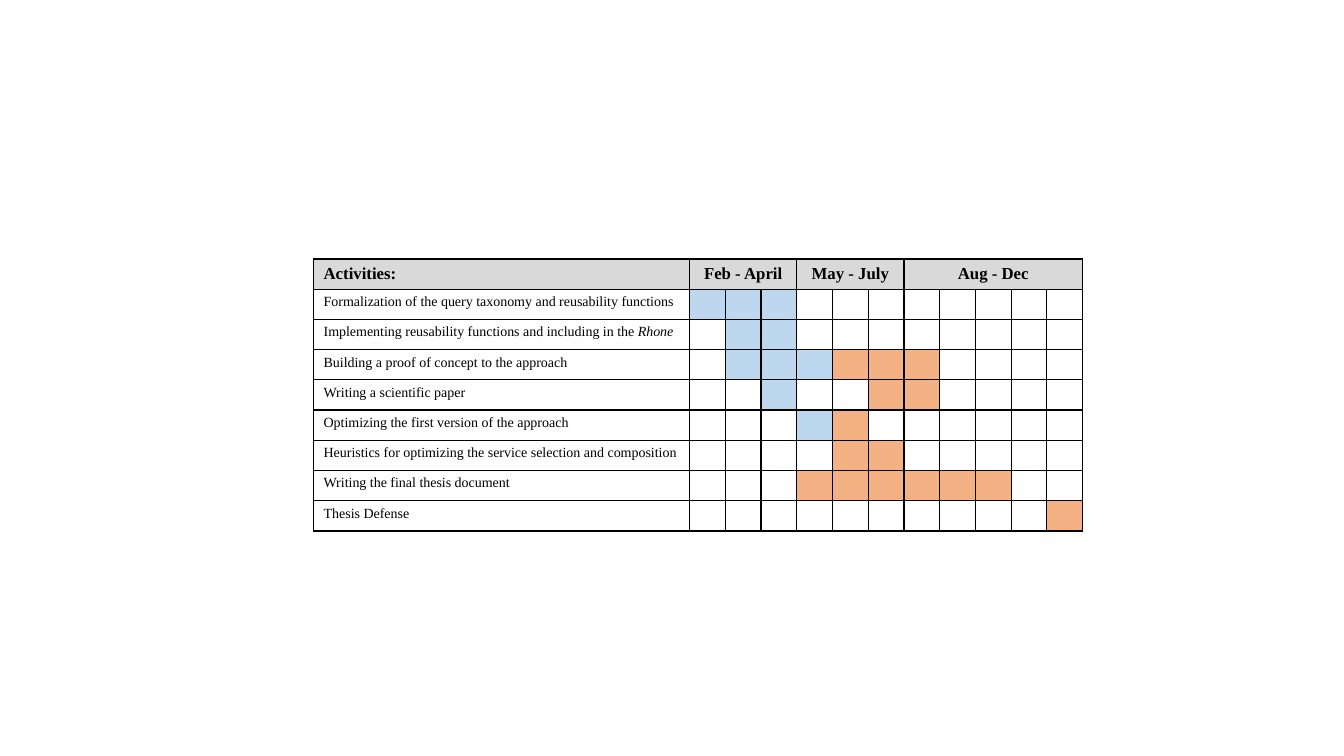
"""Build a thesis schedule slide as a Gantt table."""
from lxml.etree import SubElement
from pptx import Presentation
from pptx.dml.color import RGBColor
from pptx.enum.text import MSO_ANCHOR as ANCHOR, PP_ALIGN as ALIGN
from pptx.oxml import parse_xml
from pptx.oxml.ns import nsdecls, qn
from pptx.util import Inches, Pt

FONT = "Times New Roman"
BLACK, WHITE, GREY, BLUE, ORANGE = "000000", "FFFFFF", "D9D9D9", "BDD7EE", "F4B183"
MONTHS = 11
PERIODS = [("Feb - April", 1, 3), ("May - July", 4, 6), ("Aug - Dec", 7, 11)]
FILLS = {".": WHITE, "B": BLUE, "O": ORANGE}
ACTIVITIES = [
    (["Formalization of the query taxonomy and reusability functions"], "BBB........"),
    (["Implementing reusability functions and including in the ", "Rhone"], ".BB........"),
    (["Building a proof of concept to the approach"], ".BBBOOO...."),
    (["Writing a scientific paper"], "..B..OO...."),
    (["Optimizing the first version of the approach"], "...BO......"),
    (["Heuristics for optimizing the service selection and composition"], "....OO....."),
    (["Writing the final thesis document"], "...OOOOOO.."),
    (["Thesis Defense"], "..........O"),
]


def style_cell(cell, color):
    """Fill a cell, draw its four borders and keep its empty line small."""
    cell.fill.solid()
    cell.fill.fore_color.rgb = RGBColor.from_string(color)
    tcPr = cell._tc.get_or_add_tcPr()
    for i, side in enumerate(("lnL", "lnR", "lnT", "lnB")):
        tcPr.insert(i, parse_xml(
            f'<a:{side} {nsdecls("a")} w="{Pt(1)}"><a:solidFill>'
            f'<a:srgbClr val="{BLACK}"/></a:solidFill></a:{side}>'))
    SubElement(cell.text_frame.paragraphs[0]._p, qn("a:endParaRPr"), sz="1000")


def write(cell, texts, size, align, bold=False):
    """Write runs into a cell, with every run after the first in italics."""
    p = cell.text_frame.paragraphs[0]
    p.alignment = align
    for i, text in enumerate(texts):
        r = p.add_run()
        r.text = text
        r.font.name = FONT
        r.font.size = Pt(size)
        r.font.bold = bold
        r.font.italic = i > 0
        r.font.color.rgb = RGBColor.from_string(BLACK)


prs = Presentation()
prs.slide_width, prs.slide_height = Inches(13.33), Inches(7.5)
s = prs.slides.add_slide(prs.slide_layouts[6])

rows = len(ACTIVITIES) + 1
table = s.shapes.add_table(rows, MONTHS + 1, Inches(3.11), Inches(2.57),
                           Inches(7.63), Inches(0.3 * rows)).table
table.columns[0].width = Inches(3.73)
for c in range(1, MONTHS + 1):
    table.columns[c].width = Inches(3.9 / MONTHS)

for c in range(MONTHS + 1):
    style_cell(table.cell(0, c), GREY)
write(table.cell(0, 0), ["Activities:"], 12, ALIGN.LEFT, bold=True)
for name, first, last in PERIODS:
    cell = table.cell(0, first)
    cell.merge(table.cell(0, last))
    cell.vertical_anchor = ANCHOR.MIDDLE
    write(cell, [name], 12, ALIGN.CENTER, bold=True)

for row, (texts, months) in enumerate(ACTIVITIES, 1):
    style_cell(table.cell(row, 0), WHITE)
    write(table.cell(row, 0), texts, 10, ALIGN.JUSTIFY)
    for c, key in enumerate(months, 1):
        style_cell(table.cell(row, c), FILLS[key])

prs.save("out.pptx")
